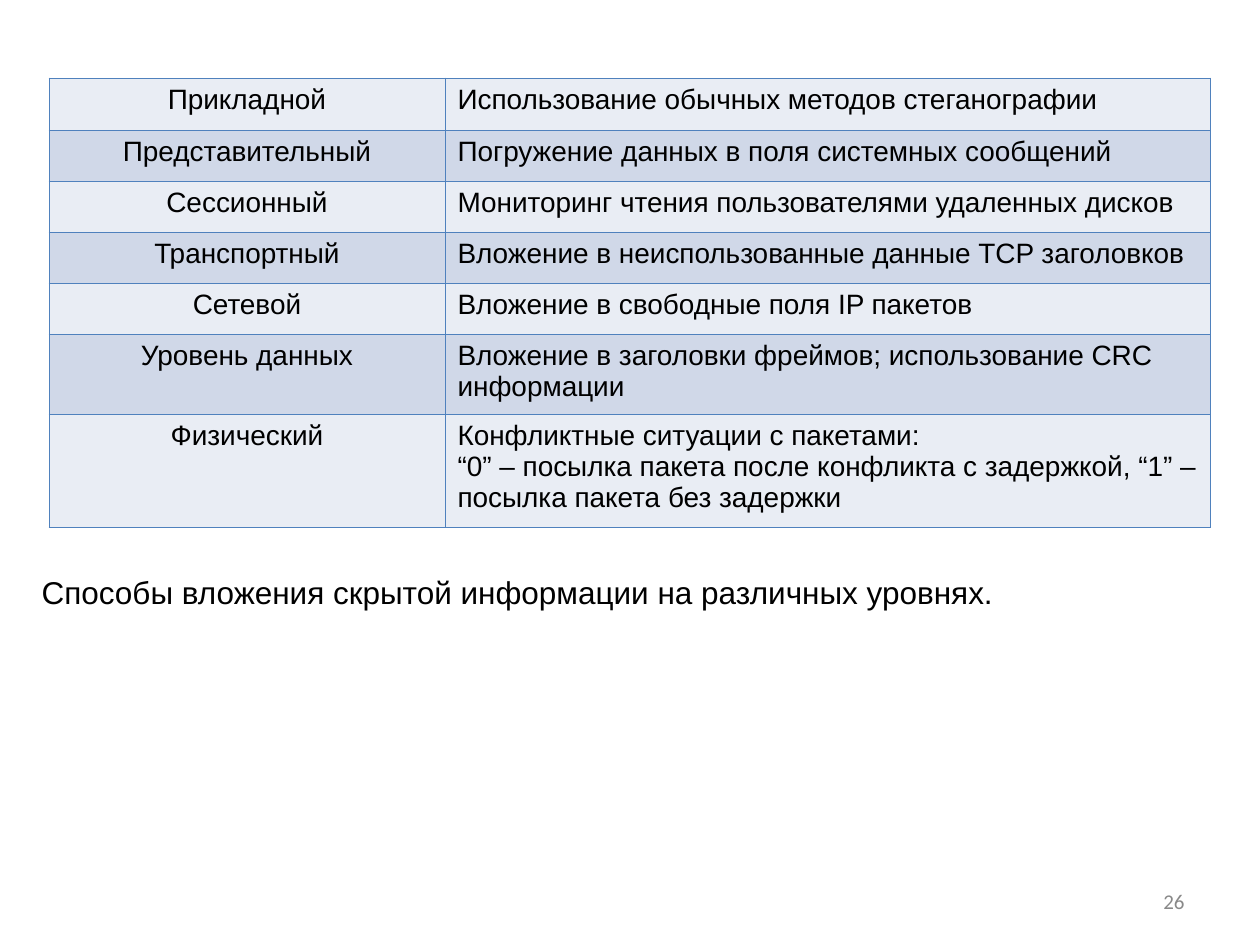
import dataclasses

import lxml.etree
import pptx
import pptx.dml.color
import pptx.enum.text
import pptx.oxml.ns
import pptx.table
import pptx.text.text
import pptx.util

EMU_PER_PX = 914400 / 126

BLACK = pptx.dml.color.RGBColor(0x00, 0x00, 0x00)
GREY = pptx.dml.color.RGBColor(0x89, 0x89, 0x89)
BORDER_BLUE = pptx.dml.color.RGBColor(0x4F, 0x81, 0xBD)
BANDS = (
    pptx.dml.color.RGBColor(0xE9, 0xED, 0xF4),
    pptx.dml.color.RGBColor(0xD0, 0xD8, 0xE8),
)
LEFT = pptx.enum.text.PP_ALIGN.LEFT
CENTER = pptx.enum.text.PP_ALIGN.CENTER
RIGHT = pptx.enum.text.PP_ALIGN.RIGHT
MIDDLE = pptx.enum.text.MSO_ANCHOR.MIDDLE


@dataclasses.dataclass(frozen=True)
class Level:
    name: str
    method: str
    height: int = 51


LEVELS = (
    Level("Прикладной", "Использование обычных методов стеганографии", 52),
    Level("Представительный", "Погружение данных в поля системных сообщений"),
    Level("Сессионный", "Мониторинг чтения пользователями удаленных дисков"),
    Level("Транспортный", "Вложение в неиспользованные данные TCP заголовков"),
    Level("Сетевой", "Вложение в свободные поля IP пакетов"),
    Level("Уровень данных", "Вложение в заголовки фреймов; использование CRC информации", 80),
    Level(
        "Физический",
        "Конфликтные ситуации с пакетами:\n"
        "“0” – посылка пакета после конфликта с задержкой, “1” – посылка пакета без задержки",
        113,
    ),
)
COLUMN_WIDTHS = (396, 765)


def px(length: int) -> pptx.util.Emu:
    return pptx.util.Emu(round(length * EMU_PER_PX))


def write(
    frame: pptx.text.text.TextFrame,
    text: str,
    size: int,
    align: pptx.enum.text.PP_ALIGN,
    font: str = "Arial",
    color: pptx.dml.color.RGBColor = BLACK,
) -> None:
    frame.text = text
    for paragraph in frame.paragraphs:
        paragraph.alignment = align
        paragraph.font.size = pptx.util.Pt(size)
        paragraph.font.name = font
        paragraph.font.bold = False
        paragraph.font.color.rgb = color


def add_borders(cell: pptx.table._Cell) -> None:
    """Outline the cell; call before filling it, as borders come first in the XML."""
    properties = cell._tc.get_or_add_tcPr()
    for side in ("lnL", "lnR", "lnT", "lnB"):
        line = lxml.etree.SubElement(properties, pptx.oxml.ns.qn(f"a:{side}"))
        line.set("w", str(pptx.util.Pt(0.45)))
        fill = lxml.etree.SubElement(line, pptx.oxml.ns.qn("a:solidFill"))
        color = lxml.etree.SubElement(fill, pptx.oxml.ns.qn("a:srgbClr"))
        color.set("val", str(BORDER_BLUE))


def add_title(slide: pptx.slide.Slide) -> None:
    title = slide.shapes.title
    title.left, title.top, title.width, title.height = px(29), px(29), px(1201), px(896)
    frame = title.text_frame
    frame.word_wrap = True
    frame.auto_size = pptx.enum.text.MSO_AUTO_SIZE.NONE
    frame.vertical_anchor = MIDDLE
    frame.margin_top, frame.margin_bottom = px(230), 0
    write(frame, "Способы вложения скрытой информации на различных уровнях.", 18, LEFT)


def add_page_number(slide: pptx.slide.Slide) -> None:
    box = slide.shapes.add_textbox(px(903), px(876), px(294), px(50))
    box.text_frame.word_wrap = True
    box.text_frame.vertical_anchor = MIDDLE
    write(box.text_frame, "26", 12, RIGHT, "Calibri", GREY)


def add_levels_table(slide: pptx.slide.Slide) -> None:
    table = slide.shapes.add_table(
        len(LEVELS), len(COLUMN_WIDTHS), px(49), px(78),
        px(sum(COLUMN_WIDTHS)), px(sum(level.height for level in LEVELS)),
    ).table
    table.first_row = False
    for column, width in zip(table.columns, COLUMN_WIDTHS):
        column.width = px(width)
    for index, (row, level) in enumerate(zip(table.rows, LEVELS)):
        row.height = px(level.height)
        for cell, text, align in zip(row.cells, (level.name, level.method), (CENTER, LEFT)):
            add_borders(cell)
            cell.fill.solid()
            cell.fill.fore_color.rgb = BANDS[index % len(BANDS)]
            write(cell.text_frame, text, 16, align)


def main() -> None:
    presentation = pptx.Presentation()
    presentation.slide_width, presentation.slide_height = px(1260), px(945)
    slide = presentation.slides.add_slide(presentation.slide_layouts.get_by_name("Title Only"))
    add_title(slide)
    add_page_number(slide)
    add_levels_table(slide)
    presentation.save("out.pptx")


if __name__ == "__main__":
    main()
